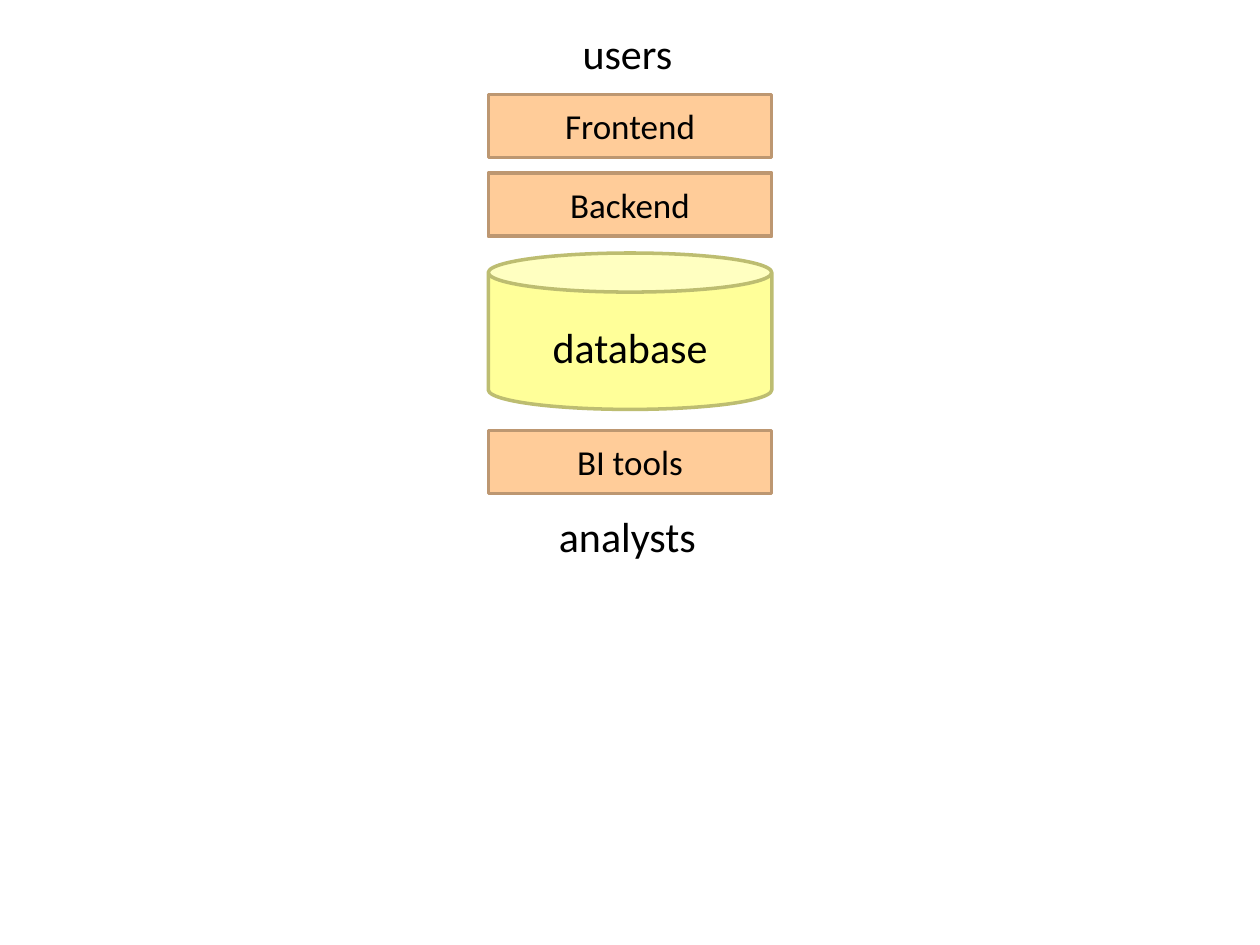
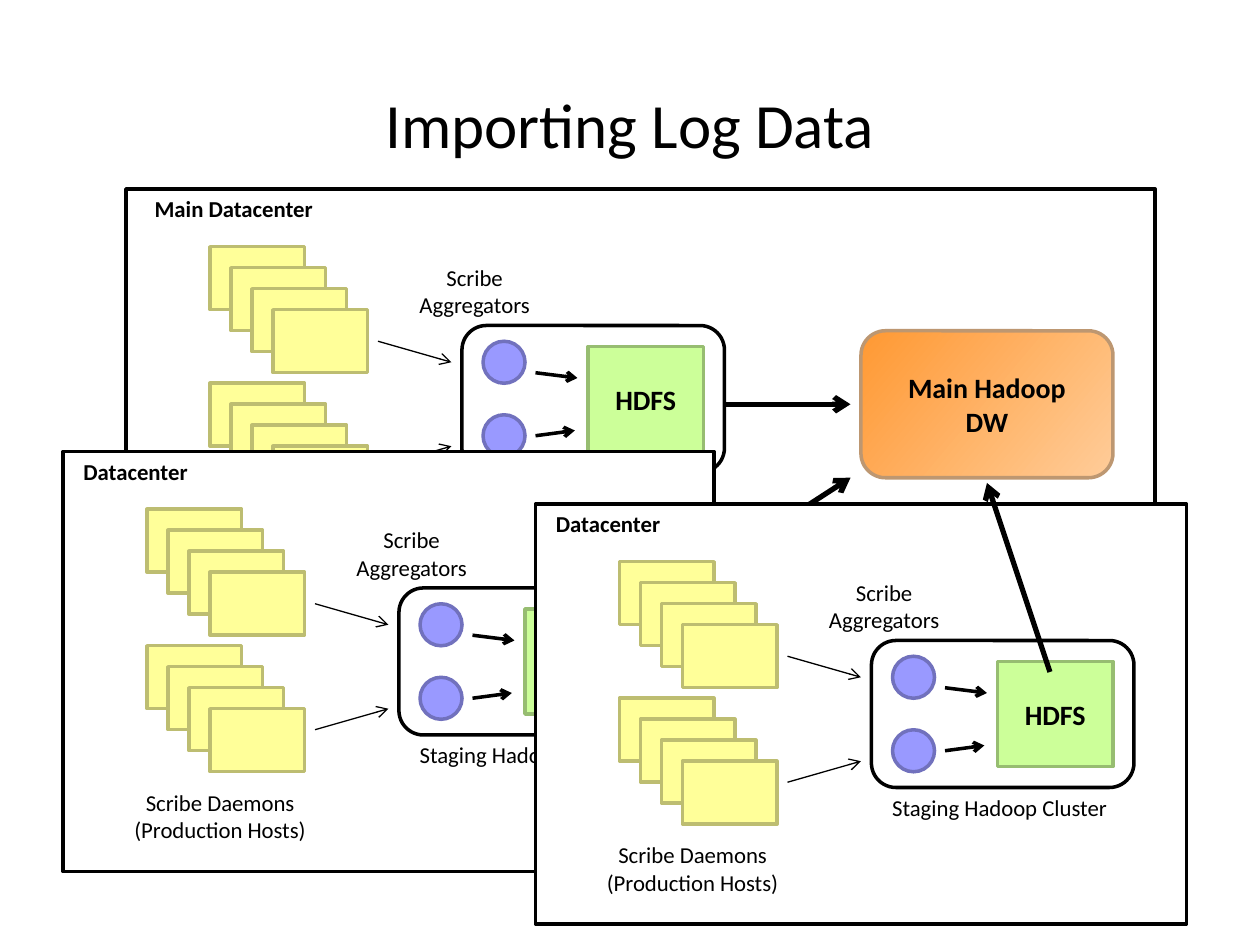
from dataclasses import dataclass

from lxml import etree
from pptx import Presentation
from pptx.dml.color import RGBColor
from pptx.enum.shapes import MSO_CONNECTOR, MSO_SHAPE
from pptx.enum.text import MSO_ANCHOR, PP_ALIGN
from pptx.oxml.ns import qn
from pptx.util import Inches, Pt

RECT, ROUND = MSO_SHAPE.RECTANGLE, MSO_SHAPE.ROUNDED_RECTANGLE
CAN, OVAL = MSO_SHAPE.CAN, MSO_SHAPE.OVAL
STRAIGHT = MSO_CONNECTOR.STRAIGHT
CENTER, MIDDLE = PP_ALIGN.CENTER, MSO_ANCHOR.MIDDLE
UNIT = Inches(1) // 24  # one grid cell; a slide is 240 by 180 cells


@dataclass(frozen=True)
class Theme:
    """Looks are (fill, edge) pairs; sizes are points."""
    font: str = "Calibri"
    ink: str = "000000"
    deep: str = "FF9933"
    orange: tuple = ("FFCC99", "BD9771")
    yellow: tuple = ("FFFF99", "BDBD71")
    green: tuple = ("CCFF99", "97BD71")
    violet: tuple = ("9999FF", "7171BD")
    white: tuple = ("FFFFFF", "000000")
    clear: tuple = (None, "000000")
    title: int = 36
    large: int = 24
    tier: int = 20
    node: int = 16
    note: int = 13


T = Theme()


def box(shapes, kind, at, look=None, text="", size=T.note, bold=False, wrap=True):
    """Add a shape, or a text box when kind is None, on grid cells."""
    cells = [round(n * UNIT) for n in at]
    if kind is None:
        item = shapes.add_textbox(*cells)
    else:
        item = shapes.add_shape(kind, *cells)
        item.shadow.inherit = False
        fill, edge = look
        if fill:
            item.fill.solid()
            item.fill.fore_color.rgb = RGBColor.from_string(fill)
        else:
            item.fill.background()
        item.line.color.rgb = RGBColor.from_string(edge)
        item.line.width = Pt(2)
        item.text_frame.vertical_anchor = MIDDLE
    if text:
        item.text_frame.word_wrap = wrap
        par = item.text_frame.paragraphs[0]
        par.text = text
        par.alignment = CENTER
        par.font.name, par.font.size, par.font.bold = T.font, Pt(size), bold
        par.font.color.rgb = RGBColor.from_string(T.ink)
    return item


def arrow(shapes, ends, width):
    link = shapes.add_connector(STRAIGHT, *[round(n * UNIT) for n in ends])
    link.line.color.rgb = RGBColor.from_string(T.ink)
    link.line.width = Pt(width)
    etree.SubElement(link.line._get_or_add_ln(), qn("a:tailEnd"), type="arrow")
    etree.SubElement(link._element.spPr, qn("a:effectLst"))


deck = Presentation()
deck.slide_width, deck.slide_height = 240 * UNIT, 180 * UNIT

# Slide 1: the tiers between users and analysts
shapes = deck.slides.add_slide(deck.slide_layouts[6]).shapes
left, wide = 93, 54
for top, tier in ((18, "Frontend"), (33, "Backend"), (82, "BI tools")):
    box(shapes, RECT, (left, top, wide, 12), T.orange, tier, T.tier)
box(shapes, CAN, (left, 48.2, wide, 29.8), T.yellow)
for top, span, name in ((4, 53, "users"), (60, wide, "database"), (96, 53, "analysts")):
    box(shapes, None, (left, top, span, 12), None, name, T.large)

# Slide 2: datacenters that feed the main warehouse
slide = deck.slides.add_slide(deck.slide_layouts[5])
shapes = slide.shapes
title = shapes.title
title.left, title.top, title.width, title.height = 0, round(14.4 * UNIT), 240 * UNIT, 18 * UNIT
title.text_frame.text = "Importing Log Data"
par = title.text_frame.paragraphs[0]
par.alignment = CENTER
par.font.name, par.font.size = T.font, Pt(T.title)
par.font.color.rgb = RGBColor.from_string(T.ink)

store = box(shapes, ROUND, (164, 63, 48, 28), T.orange, "Main Hadoop\nDW", T.node, True)
store.fill.gradient()
store.fill.gradient_angle = 320
for stop, tint in zip(store.fill.gradient_stops, (T.deep, T.orange[0])):
    stop.color.rgb = RGBColor.from_string(tint)

for ends in ((134, 77, 162, 77), (128, 113, 162, 91)):
    arrow(shapes, ends, 3)

# left, top, width, look, name, name inset, name width, HDFS text, host note
sites = (
    (24, 36, 196, T.clear, "Main Datacenter", 1.2, 38.6, "HDFS", ""),
    (12, 86, 124, T.white, "Datacenter", 0, 27.6, "", "Scribe Daemons\n(Production Hosts)"),
    (102, 96, 124, T.white, "Datacenter", 0, 27.6, "HDFS", "Scribe Daemons\n(Production Hosts)"),
)
for x, y, wide, look, name, inset, span, hdfs, hosts in sites:
    site = shapes.add_group_shape().shapes
    box(site, RECT, (x, y, wide, 80), look)
    box(site, None, (x + inset, y, span, 7.7), None, name, bold=True, wrap=False)
    if hosts:
        box(site, None, (x + 9.4, y + 63, 41, 13), None, hosts, wrap=False)
    for top in (37, 11):
        for step in range(0, 16, 4):
            box(site, RECT, (x + 16 + step, y + top + step, 18, 12), T.yellow)
    for start, end in ((53, 49), (29, 33)):
        arrow(site, (x + 48, y + start, x + 62, y + end), 0.75)
    box(site, ROUND, (x + 64, y + 26, 50, 28), T.white)
    for top in (29, 43):
        box(site, OVAL, (x + 68, y + top, 8, 8), T.violet)
    for start, right, end in ((35, 86, 36), (47, 85.5, 46)):
        arrow(site, (x + 78, y + start, x + right, y + end), 2)
    box(site, RECT, (x + 88, y + 30, 22, 20), T.green, hdfs, T.node, True)
    for at, note in (
        ((x + 62.7, y + 54, 51.3, 7.7), "Staging Hadoop Cluster"),
        ((x + 52, y + 13, 28.8, 13), "Scribe\nAggregators"),
    ):
        box(site, None, at, None, note, wrap=False)

arrow(shapes, (200, 128, 188, 92), 3)

deck.save("out.pptx")
